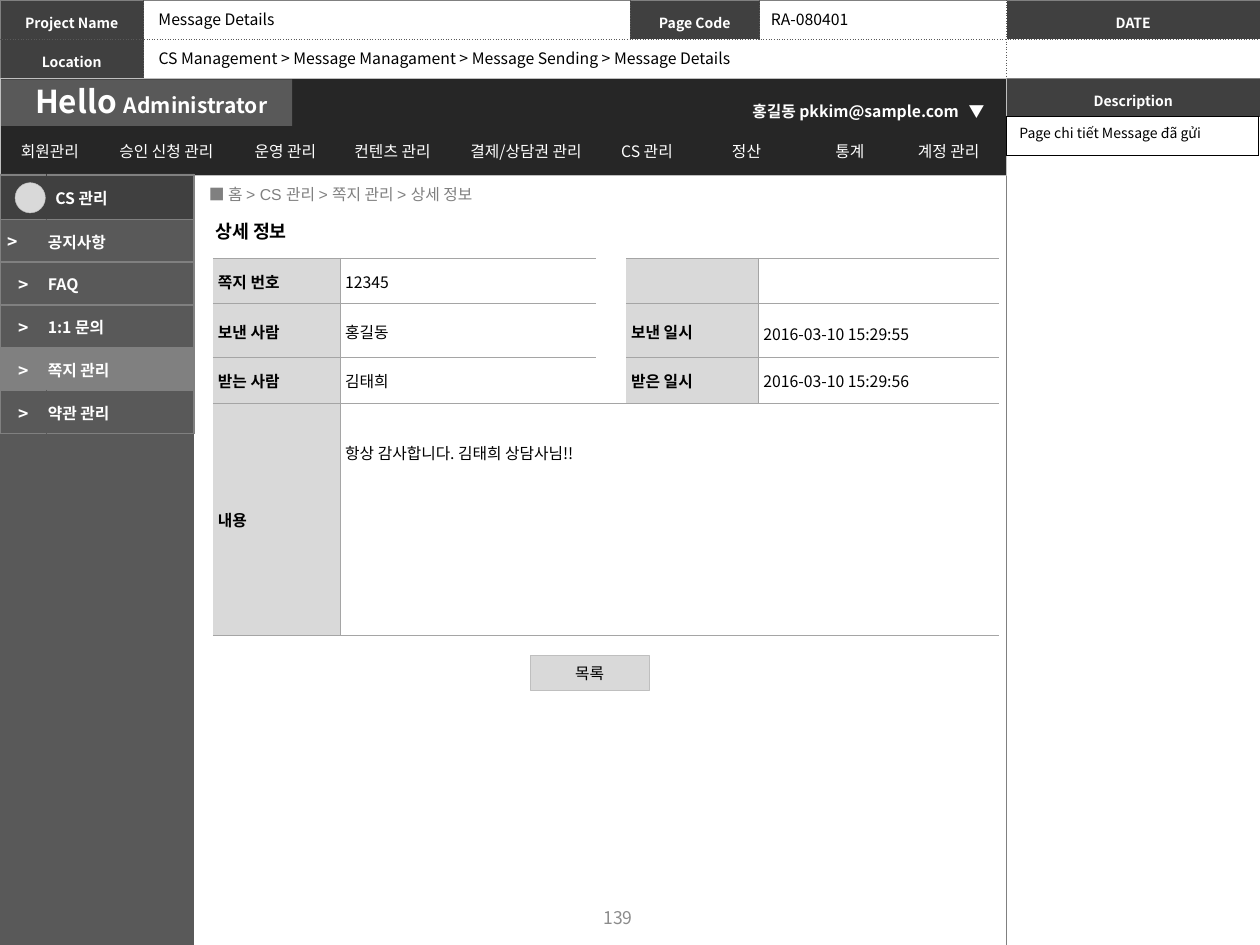
"""Build the message details page of an admin storyboard."""
from dataclasses import dataclass, field
from typing import NamedTuple, Optional

from lxml.etree import SubElement as sub
from pptx import Presentation
from pptx.dml.color import RGBColor as Rgb
from pptx.enum.shapes import MSO_SHAPE as Form
from pptx.enum.text import MSO_ANCHOR as Anchor, MSO_AUTO_SIZE as Auto, PP_ALIGN as Align
from pptx.oxml.ns import qn
from pptx.util import Inches, Pt

WIDE, HIGH = Inches(10), Inches(7.5)
COLS, ROWS = 1000, 750


@dataclass(frozen=True)
class Theme:
    """Colours, fonts and type sizes."""
    ink: str = "000000"
    white: str = "FFFFFF"
    night: str = "262626"
    dark: str = "404040"
    slate: str = "595959"
    gray: str = "808080"
    faint: str = "8C8C8C"
    rule: str = "A5A5A5"
    edge: str = "BFBFBF"
    pale: str = "D9D9D9"
    font: str = "Noto Sans CJK KR"
    plain: str = "Arial"
    small: float = 8
    text: float = 9
    mark: float = 10
    head: float = 10.5
    role: float = 12
    hello: float = 18


T = Theme()


class Box(NamedTuple):
    """A place in columns and rows of the page grid."""
    left: int
    top: int
    wide: int
    high: int


class Pen(NamedTuple):
    """A border line."""
    color: str
    width: float
    dash: str = "solid"


@dataclass
class Cell:
    """A table cell with its format."""
    text: str = ""
    fill: Optional[str] = None
    pens: dict = field(default_factory=dict)
    look: dict = field(default_factory=dict)
    pad: tuple = (10, 5, 10, 5)
    span: int = 1
    anchor: Anchor = Anchor.MIDDLE


def across(n: float) -> int:
    """Turn grid columns into a length."""
    return int(WIDE * n / COLS)


def down(n: float) -> int:
    """Turn grid rows into a length."""
    return int(HIGH * n / ROWS)


def place(box: Box) -> tuple:
    """Turn a box into left, top, width and height."""
    return across(box.left), down(box.top), across(box.wide), down(box.high)


def put(frame, text: str, *, size=T.text, color=T.ink, bold=False, font=T.font,
        align=Align.LEFT, lead=1.0) -> None:
    """Add text to the last paragraph of a frame."""
    par = frame.paragraphs[-1]
    par.alignment, par.line_spacing = align, lead
    if not text:
        sub(par._p, qn("a:endParaRPr"), sz=str(int(size * 100)))
        return
    run = par.add_run()
    run.text = text
    run.font.size, run.font.bold = Pt(size), bold
    run.font.color.rgb = Rgb.from_string(color)
    run.font.name = font
    sub(run._r.get_or_add_rPr(), qn("a:ea"), typeface=T.font)


def note(slide, box: Box, text: str, *, wrap=False, anchor=Anchor.TOP, **look):
    """Add a text box and return its frame."""
    frame = slide.shapes.add_textbox(*place(box)).text_frame
    frame.word_wrap, frame.vertical_anchor = wrap, anchor
    put(frame, text, **look)
    return frame


def block(slide, box: Box, fill: str, line: Optional[str] = None, form=Form.RECTANGLE):
    """Add a filled shape and return its frame."""
    shape = slide.shapes.add_shape(form, *place(box))
    shape.shadow.inherit = False
    shape.fill.solid()
    shape.fill.fore_color.rgb = Rgb.from_string(fill)
    if line:
        shape.line.color.rgb = Rgb.from_string(line)
        shape.line.width = Pt(0.25)
    else:
        shape.line.fill.background()
    return shape.text_frame


def paint(spot, cell: Cell) -> None:
    """Draw borders and fill of one table cell."""
    props = spot._tc.get_or_add_tcPr()
    for side in "lrtb":
        pen = cell.pens.get(side)
        line = sub(props, qn(f"a:ln{side.upper()}"), w=str(Pt(pen.width if pen else 0)))
        if pen:
            sub(sub(line, qn("a:solidFill")), qn("a:srgbClr"), val=pen.color)
            sub(line, qn("a:prstDash"), val=pen.dash)
        else:
            sub(line, qn("a:noFill"))
    if cell.fill:
        spot.fill.solid()
        spot.fill.fore_color.rgb = Rgb.from_string(cell.fill)
    else:
        spot.fill.background()


def grid(slide, left: int, top: int, cols: list, rows: list, cells: list) -> None:
    """Add a table from rows of cells."""
    box = Box(left, top, sum(cols), sum(rows))
    table = slide.shapes.add_table(len(rows), len(cols), *place(box)).table
    table.first_row = table.horz_banding = False
    for i, n in enumerate(cols):
        table.columns[i].width = across(n)
    for r, line in enumerate(cells):
        table.rows[r].height = down(rows[r])
        c = 0
        for cell in line:
            spot = table.cell(r, c)
            paint(spot, cell)
            spot.margin_left, spot.margin_right = map(across, cell.pad[::2])
            spot.margin_top, spot.margin_bottom = map(down, cell.pad[1::2])
            spot.vertical_anchor = cell.anchor
            put(spot.text_frame, cell.text, **cell.look)
            flat = {k: p for k, p in cell.pens.items() if k in "tb"}
            for n in range(c + 1, c + cell.span):
                paint(table.cell(r, n), Cell(fill=cell.fill, pens=flat))
                put(table.cell(r, n).text_frame, "")
            if cell.span > 1:
                spot.merge(table.cell(r, c + cell.span - 1))
            c += cell.span


def ruled(texts: list) -> list:
    """Make dark header cells with solid outer and dotted inner borders."""
    solid, dots = Pen(T.gray, 0.5), Pen(T.slate, 0.5, "sysDot")
    look = dict(size=T.small, color=T.white, bold=True, align=Align.CENTER, lead=1.3)
    out = []
    for r, line in enumerate(texts):
        row = []
        for c, (text, span) in enumerate(line):
            outer = dict(l=c == 0, r=c == len(line) - 1, t=r == 0, b=r == len(texts) - 1)
            pens = {k: solid if end else dots for k, end in outer.items()}
            row.append(Cell(text, T.dark if text else None, pens, look, (4, 4, 4, 4), span))
        out.append(row)
    return out


def label(text: str) -> Cell:
    """Make a shaded field name."""
    return Cell(text, T.pale, dict.fromkeys("rtb", Pen(T.rule, 0.5)), dict(bold=True), (4, 1, 1, 0))


def value(text: str, lead: float = 1.0, **more) -> Cell:
    """Make a white field value."""
    pens = dict.fromkeys("ltb", Pen(T.rule, 0.5))
    return Cell(text, T.white, pens, dict(lead=lead), **{"pad": (4, 1, 1, 0), **more})


def side(mark: str, text: str, fill: str, ends: int = 1, start: int = 1) -> list:
    """Make one row of the side menu."""
    pens, mid = dict.fromkeys("lrtb", Pen(T.gray, 1)), Pen(fill, 1)
    look = dict(color=T.white, bold=True)
    return [Cell(mark, fill, {**pens, "r": mid}, dict(look, size=T.mark, align=Align.CENTER), (1, 1, ends, 0)),
            Cell(text, fill, {**pens, "l": mid}, look, (start, 1, 1, 0))]


def main() -> None:
    """Build and save the page."""
    deck = Presentation()
    deck.slide_width, deck.slide_height = WIDE, HIGH
    slide = deck.slides.add_slide(deck.slide_layouts[5])

    title = slide.shapes.title
    title.left, title.top, title.width, title.height = place(Box(161, 170, 84, 28))
    frame = title.text_frame
    frame.auto_size, frame.word_wrap, frame.vertical_anchor = Auto.NONE, False, Anchor.TOP
    put(frame, "상세 정보", size=T.head, bold=True)

    grid(slide, 0, 0, [114, 386, 103, 196, 201], [31, 31], ruled([
        [("Project Name", 1), ("", 1), ("Page Code", 1), ("", 1), ("DATE", 1)],
        [("Location", 1), ("", 3), ("", 1)]]))
    grid(slide, 799, 62, [201], [31, 657], ruled([[("Description", 1)], [("", 1)]]))

    block(slide, Box(0, 62, 799, 77), T.night, T.edge)
    block(slide, Box(1, 63, 231, 37), T.slate)
    bold = dict(color=T.white, bold=True)
    hello = note(slide, Box(18, 60, 209, 40), "Hello ", size=T.hello, **bold)
    put(hello, "Administrator", size=T.role, **bold)
    menu = ["회원관리", "승인 신청 관리", "운영 관리", "컨텐츠 관리", "결제/상담권 관리",
            "CS 관리", "정산", "통계", "계정 관리"]
    night = dict.fromkeys("lrtb", Pen(T.night, 1))
    grid(slide, 2, 104, [75, 110, 79, 91, 121, 71, 87, 77, 80], [31], [
        [Cell(t, None, night, dict(color=T.white, align=Align.CENTER)) for t in menu]])
    note(slide, Box(582, 73, 194, 26), "홍길동 pkkim@sample.com", align=Align.CENTER, lead=1.2, **bold)
    note(slide, Box(759, 73, 33, 26), "▼", lead=1.2, **bold)

    note(slide, Box(156, 137, 612, 34), "■ 홈 > CS 관리 > 쪽지 관리 > 상세 정보", wrap=True,
         anchor=Anchor.MIDDLE, color=T.gray, font=T.plain)
    gap = Cell(fill=T.white)
    grid(slide, 169, 205, [101, 203, 7, 105, 191], [36, 43, 36, 184], [
        [label("쪽지 번호"), value("12345"), gap, label(""), value("")],
        [label("보낸 사람"), value("홍길동"), gap, label("보낸 일시"), value("2016-03-10 15:29:55", 1.2)],
        [label("받는 사람"), value("김태희"), gap, label("받은 일시"), value("2016-03-10 15:29:56")],
        [label("내용"), value("항상 감사합니다. 김태희 상담사님!!", 1.3, span=4, pad=(4, 25, 1, 0),
                            anchor=Anchor.TOP)]])
    put(block(slide, Box(421, 520, 94, 28), T.pale, T.edge), "목록", align=Align.CENTER)

    note(slide, Box(116, 3, 113, 25), "Message Details")
    note(slide, Box(602, 3, 83, 25), "RA-080401")
    note(slide, Box(116, 34, 492, 25),
         "CS Management > Message Managament > Message Sending > Message Details")
    grid(slide, 799, 92, [200], [31], [[
        Cell("Page chi tiết Message đã gửi", T.white, dict.fromkeys("lrtb", Pen(T.ink, 0.5)),
             dict(size=T.small), anchor=Anchor.TOP)]])
    note(slide, Box(374, 708, 233, 40), "139", wrap=True, anchor=Anchor.MIDDLE,
         size=T.mark, color=T.faint, align=Align.CENTER)

    block(slide, Box(0, 138, 154, 612), T.slate)
    grid(slide, 0, 139, [37, 117], [35] + [34] * 5, [
        side("", "CS 관리", T.dark, start=7),
        side(">", "공지사항", T.slate, ends=18),
        side(">", "FAQ", T.slate),
        side(">", "1:1 문의", T.slate),
        side(">", "쪽지 관리", T.gray),
        side(">", "약관 관리", T.slate)])
    block(slide, Box(12, 145, 24, 24), T.pale, T.edge, Form.OVAL)
    deck.save("out.pptx")


if __name__ == "__main__":
    main()
